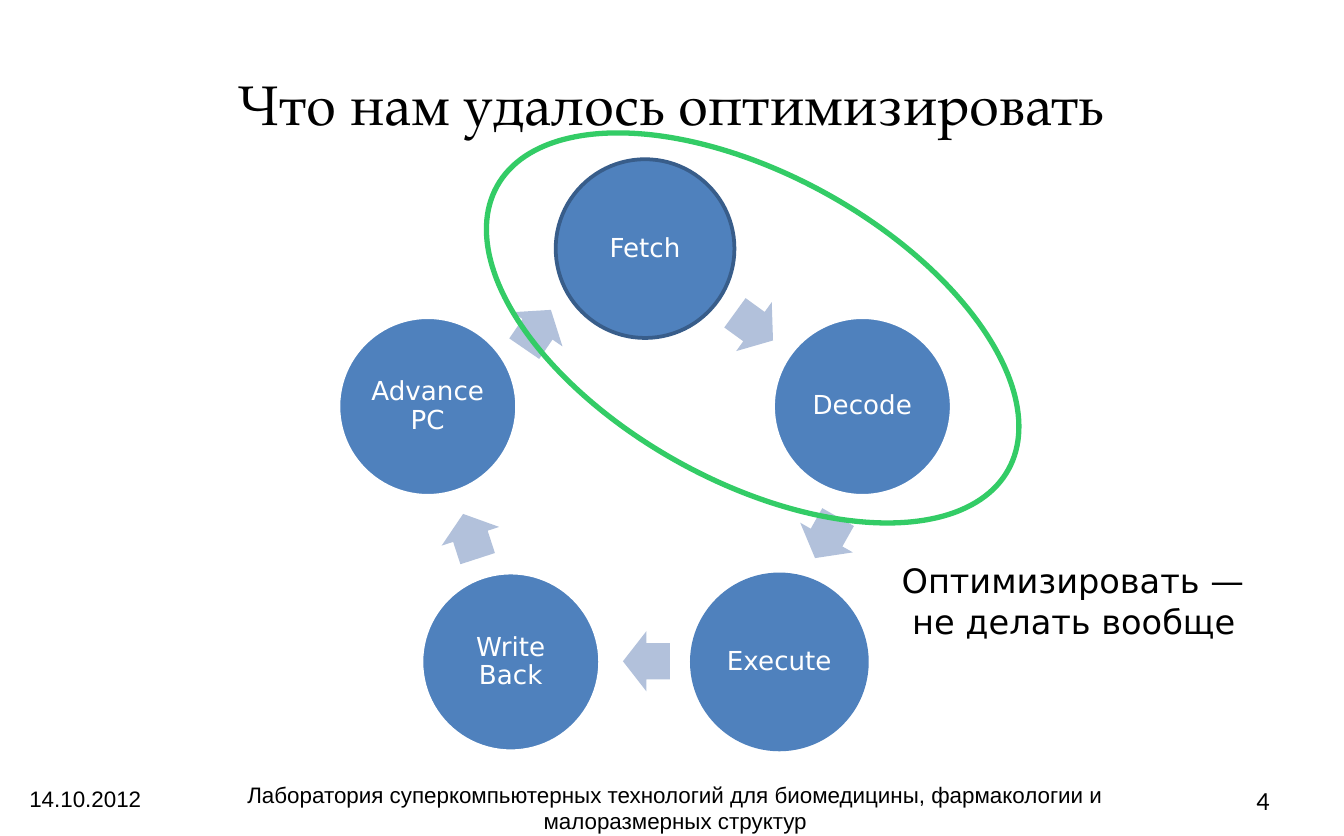
from dataclasses import dataclass
from math import cos, radians, sin

from pptx import Presentation
from pptx.dml.color import RGBColor
from pptx.enum.shapes import MSO_SHAPE
from pptx.enum.text import MSO_ANCHOR, PP_ALIGN
from pptx.util import Inches, Pt


@dataclass(frozen=True)
class Theme:
    text: str = "000000"
    light: str = "FFFFFF"
    stage: str = "4F81BD"
    stage_edge: str = "385D8A"
    arrow: str = "B2C1DB"
    highlight: str = "33CC66"
    title_font: str = "TeX Gyre Pagella"
    body_font: str = "DejaVu Sans"
    footer_font: str = "Arial"
    number_font: str = "Calibri"
    title_size: float = 30
    caption_size: float = 18
    stage_size: float = 14
    number_size: float = 14
    footer_size: float = 12


class SlideBuilder:
    def __init__(self, slide, theme):
        self.s = slide
        self.theme = theme

    def style(self, p, font, size, color, align):
        p.alignment = align
        p.font.name = font
        p.font.size = Pt(size)
        p.font.color.rgb = RGBColor.from_string(color)

    def text(self, box, lines, font, size, align=PP_ALIGN.LEFT,
             anchor=MSO_ANCHOR.TOP, wrap=True):
        sp = self.s.shapes.add_textbox(*map(Inches, box))
        tf = sp.text_frame
        tf.word_wrap = wrap
        tf.vertical_anchor = anchor
        tf.text = "\n".join(lines)
        for p in tf.paragraphs:
            self.style(p, font, size, self.theme.text, align)

    def shape(self, kind, center, size, fill=None, line=None, width=2, rotation=0):
        (x, y), (w, h) = center, size
        sp = self.s.shapes.add_shape(
            kind, Inches(x - w / 2), Inches(y - h / 2), Inches(w), Inches(h))
        sp.shadow.inherit = False
        sp.rotation = rotation
        if fill:
            sp.fill.solid()
            sp.fill.fore_color.rgb = RGBColor.from_string(fill)
        else:
            sp.fill.background()
        if line:
            sp.line.color.rgb = RGBColor.from_string(line)
            sp.line.width = Pt(width)
        else:
            sp.line.fill.background()
        return sp

    def stage(self, center, label, line):
        t = self.theme
        sp = self.shape(MSO_SHAPE.OVAL, center, (1.33, 1.33), t.stage, line)
        tf = sp.text_frame
        tf.word_wrap = True
        tf.vertical_anchor = MSO_ANCHOR.MIDDLE
        tf.margin_left = tf.margin_right = Inches(0.04)
        tf.margin_top = tf.margin_bottom = Inches(0.04)
        p = tf.paragraphs[0]
        p.text = label
        p.line_spacing = 0.9
        self.style(p, t.body_font, t.stage_size, t.light, PP_ALIGN.CENTER)

    def arrow(self, center, rotation):
        sp = self.shape(MSO_SHAPE.RIGHT_ARROW, center, (0.35, 0.45),
                        self.theme.arrow, rotation=rotation)
        sp.adjustments[0] = 0.6
        sp.adjustments[1] = 0.5

    def highlight(self, center, size, rotation):
        self.shape(MSO_SHAPE.OVAL, center, size, line=self.theme.highlight,
                   width=2.83, rotation=rotation)


def main():
    prs = Presentation()
    prs.slide_width, prs.slide_height = Inches(10), Inches(6.22)
    t = Theme()
    b = SlideBuilder(prs.slides.add_slide(prs.slide_layouts[6]), t)

    b.text((0.5, 0.25, 9, 1.04), ["Что нам удалось оптимизировать"],
           t.title_font, t.title_size, PP_ALIGN.CENTER, MSO_ANCHOR.MIDDLE)
    b.text((0.12, 5.79, 1.1, 0.33), ["14.10.2012"], t.footer_font, t.footer_size)
    b.text((1.14, 5.76, 7.77, 0.33),
           ["Лаборатория суперкомпьютерных технологий для биомедицины, "
            "фармакологии и малоразмерных структур"],
           t.footer_font, t.footer_size, PP_ALIGN.CENTER)
    b.text((9.25, 5.79, 0.56, 0.33), ["4"], t.number_font, t.number_size)

    cx, cy, radius = 4.8, 3.55, 1.7
    stages = [("Fetch", t.stage_edge), ("Decode", t.light), ("Execute", None),
              ("Write Back", t.light), ("Advance PC", t.light)]
    arrows = [((5.61, 2.43), 36), ((6.15, 4), 119.4), ((4.81, 4.92), 180),
              ((3.5, 3.99), 252), ((4, 2.45), 304.5)]
    step = 360 / len(stages)
    for i, ((label, line), (center, rotation)) in enumerate(zip(stages, arrows)):
        angle = radians(i * step - 90)
        b.stage((cx + radius * cos(angle), cy + radius * sin(angle)), label, line)
        b.arrow(center, rotation)

    b.highlight((5.6, 2.44), (4.35, 2.28), 29)
    b.text((6.61, 4.12, 2.75, 0.68), ["Оптимизировать —", " не делать вообще"],
           t.body_font, t.caption_size, wrap=False)
    prs.save("out.pptx")


if __name__ == "__main__":
    main()
